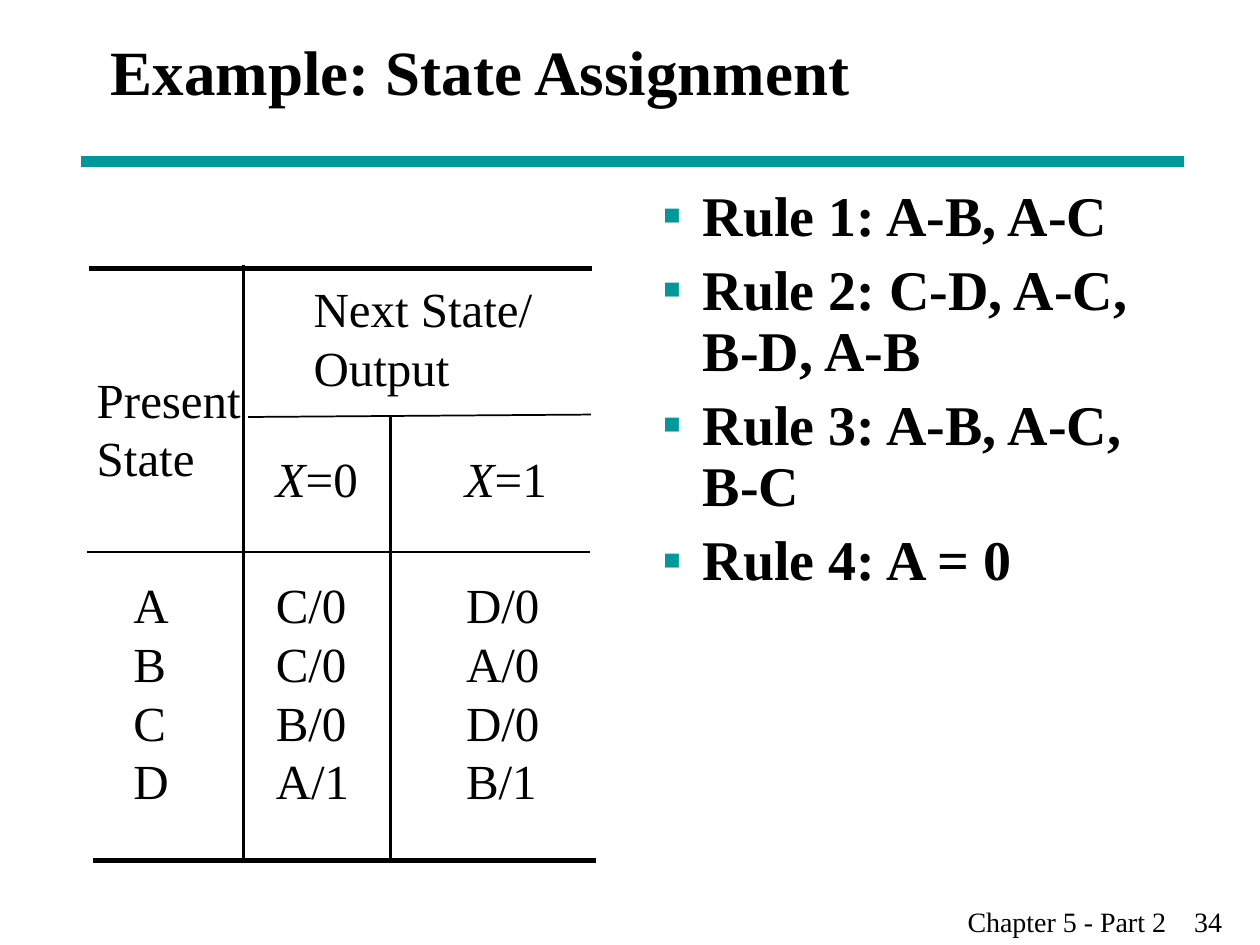
from typing import NamedTuple

from lxml import etree
from pptx import Presentation
from pptx.dml.color import RGBColor
from pptx.enum.shapes import MSO_CONNECTOR
from pptx.enum.text import MSO_ANCHOR, MSO_AUTO_SIZE, PP_ALIGN
from pptx.oxml.ns import qn
from pptx.util import Pt

STRAIGHT = MSO_CONNECTOR.STRAIGHT
MIDDLE = MSO_ANCHOR.MIDDLE
LEFT = PP_ALIGN.LEFT
FIXED, GROW = MSO_AUTO_SIZE.NONE, MSO_AUTO_SIZE.SHAPE_TO_FIT_TEXT

BLACK = RGBColor(0x00, 0x00, 0x00)
TEAL = RGBColor(0x00, 0x99, 0x99)
FONT = "Times New Roman"


class Rule(NamedTuple):
    x1: float
    y1: float
    x2: float
    y2: float
    weight: float
    color: RGBColor = BLACK


class Label(NamedTuple):
    left: float
    top: float
    width: float
    height: float
    lines: list[str]
    wrap: bool = False
    variable: str = ""  # italic name set before the first line


TITLE_RULE = Rule(46.1, 92.2, 676.8, 92.2, 6, TEAL)

TABLE_RULES = [
    Rule(51.1, 153.4, 338.4, 153.4, 3),
    Rule(53.3, 491.8, 340.6, 491.8, 3),
    Rule(139, 151.2, 139, 491.8, 1.5),
    Rule(223.2, 238.3, 223.2, 491.8, 1.5),
    Rule(141.8, 238.3, 337.7, 236.9, 1),
    Rule(49.7, 315.4, 337, 315.4, 1),
]

HEAD_TOP, BODY_TOP = 252.7, 324.7
TABLE_LABELS = [
    Label(48.2, 207.4, 102.2, 74.9, ["Present State"], wrap=True),
    Label(172.1, 155.5, 150.5, 74.9, ["Next State/ Output"], wrap=True),
    Label(150.5, HEAD_TOP, 61.2, 41, ["=0"], variable="X"),
    Label(258.5, HEAD_TOP, 61.2, 41, ["=1"], variable="X"),
    Label(69.1, BODY_TOP, 34.6, 141.8, ["A", "B", "C", "D"]),
    Label(150.5, BODY_TOP, 56.2, 141.8, ["C/0", "C/0", "B/0", "A/1"]),
    Label(259.2, BODY_TOP, 56.2, 141.8, ["D/0", "A/0", "D/0", "B/1"]),
]

ASSIGNMENT_RULES = [
    "Rule 1: A-B, A-C",
    "Rule 2: C-D, A-C, B-D, A-B",
    "Rule 3: A-B, A-C, B-C",
    "Rule 4: A = 0",
]


def add_span(para, text: str, *, size: float, bold=False, italic=False) -> None:
    span = para.add_run()
    span.text = text
    span.font.name = FONT
    span.font.size = Pt(size)
    span.font.bold = bold
    span.font.italic = italic
    span.font.color.rgb = BLACK


def add_box(page, left: float, top: float, width: float, height: float, *,
            wrap=True, auto_size=FIXED):
    box = page.shapes.add_textbox(Pt(left), Pt(top), Pt(width), Pt(height))
    box.text_frame.word_wrap = wrap
    box.text_frame.auto_size = auto_size
    return box.text_frame


def next_para(frame, index: int):
    return frame.add_paragraph() if index else frame.paragraphs[0]


def draw_rule(page, rule: Rule) -> None:
    line = page.shapes.add_connector(
        STRAIGHT, Pt(rule.x1), Pt(rule.y1), Pt(rule.x2), Pt(rule.y2))
    line.line.color.rgb = rule.color
    line.line.width = Pt(rule.weight)
    etree.SubElement(line._element.spPr, qn("a:effectLst"))


def draw_label(page, label: Label) -> None:
    frame = add_box(page, label.left, label.top, label.width, label.height,
                    wrap=label.wrap, auto_size=GROW)
    for index, text in enumerate(label.lines):
        para = next_para(frame, index)
        if label.variable and index == 0:
            add_span(para, label.variable, size=28, italic=True)
        add_span(para, text, size=28)


def set_bullet(para, mark: str, color: RGBColor, indent: float) -> None:
    props = para._p.get_or_add_pPr()
    props.set("marL", str(Pt(indent)))
    props.set("indent", str(-Pt(indent)))
    fill = etree.SubElement(props, qn("a:buClr"))
    etree.SubElement(fill, qn("a:srgbClr"), val=str(color))
    etree.SubElement(props, qn("a:buFont"), typeface=FONT)
    etree.SubElement(props, qn("a:buChar"), char=mark)


def set_tab(para, position: float) -> None:
    tabs = etree.SubElement(para._p.get_or_add_pPr(), qn("a:tabLst"))
    etree.SubElement(tabs, qn("a:tab"), pos=str(Pt(position)), algn="l")


def draw_title(page, text: str) -> None:
    title = page.shapes.title
    title.left, title.top = Pt(56.2), Pt(0)
    title.width, title.height = Pt(632.2), Pt(80.6)
    frame = title.text_frame
    frame.auto_size = FIXED
    frame.word_wrap = True
    frame.vertical_anchor = MIDDLE
    para = frame.paragraphs[0]
    para.alignment = LEFT
    add_span(para, text, size=36, bold=True)


def draw_bullets(page, lines: list[str]) -> None:
    frame = add_box(page, 371.5, 103.7, 297.4, 396)
    for index, text in enumerate(lines):
        para = next_para(frame, index)
        set_bullet(para, "▪", TEAL, 23)
        para.line_spacing = 0.9
        para.space_before = Pt(8 if index else 0)
        add_span(para, text, size=32, bold=True)


def draw_footer(page, chapter: str, number: int) -> None:
    para = add_box(page, 545.8, 513.4, 174.2, 26.6).paragraphs[0]
    set_tab(para, 129.5)
    add_span(para, f"{chapter}\t{number}", size=16)


def main() -> None:
    deck = Presentation()
    deck.slide_width, deck.slide_height = Pt(720), Pt(540)
    page = deck.slides.add_slide(deck.slide_layouts[5])

    # Heading and footer
    draw_rule(page, TITLE_RULE)
    draw_footer(page, "Chapter 5 - Part 2", 34)
    draw_title(page, "Example: State Assignment")

    # Assignment rules
    draw_bullets(page, ASSIGNMENT_RULES)

    # State table
    for rule in TABLE_RULES:
        draw_rule(page, rule)
    for label in TABLE_LABELS:
        draw_label(page, label)

    deck.save("out.pptx")


if __name__ == "__main__":
    main()
